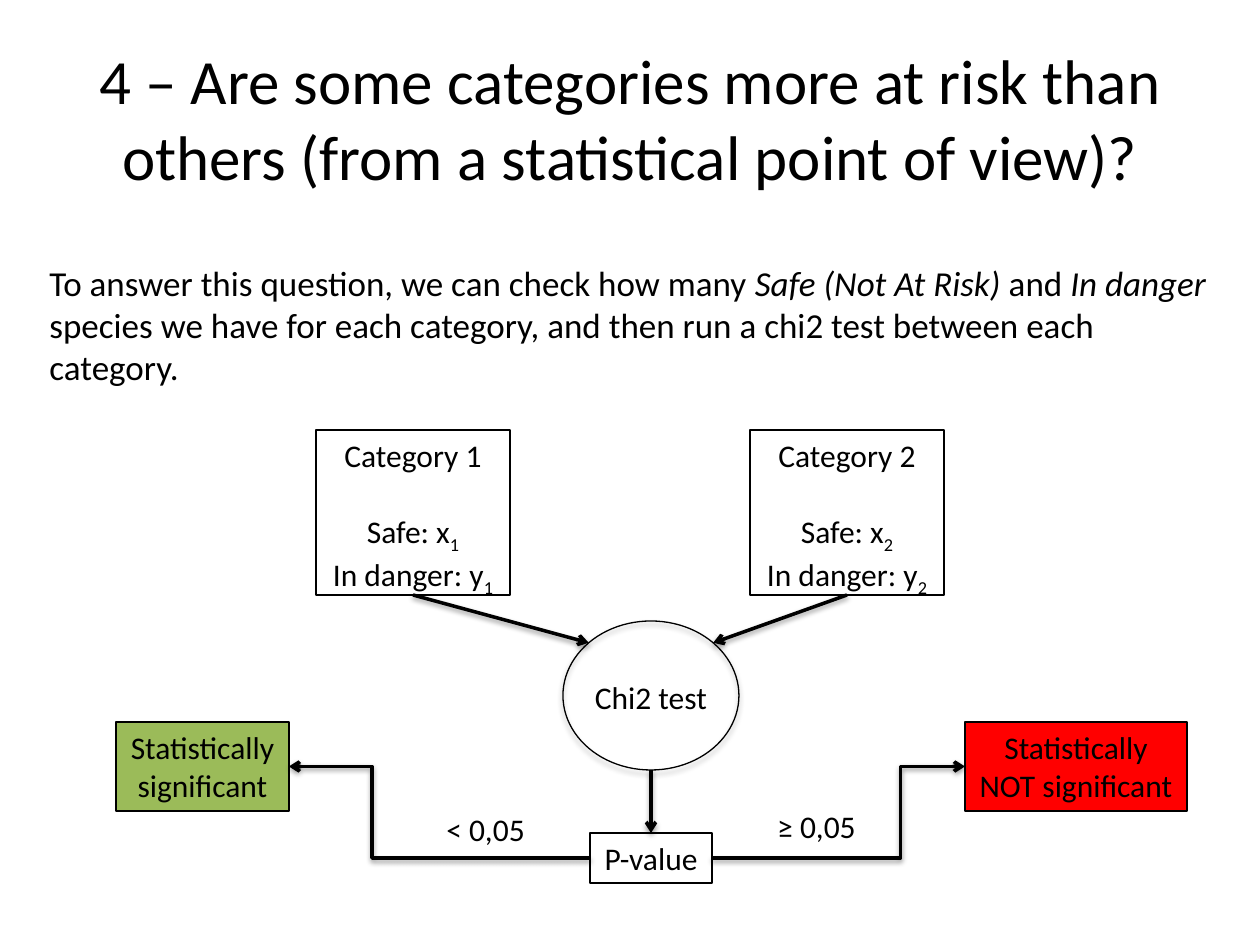
import math

from lxml import etree
from pptx import Presentation
from pptx import util as u
from pptx.dml.color import RGBColor
from pptx.enum import shapes, text
from pptx.oxml.ns import qn

COLOURS = {"ink": "000000", "significant": "9BBB59", "not_significant": "FF0000"}
FONT = "Calibri"
ARROW_SHADOW = {"opacity": 38, "distance": 1.6}
CIRCLE_SHADOW = {"opacity": 35, "distance": 1.8}


def px(length):
    return u.Emu(round(length * 914400 / 126))


def colour(name):
    return RGBColor.from_string(COLOURS[name])


def drop_shadow(part, opacity, distance):
    """Cast a soft shadow straight down."""
    effects = etree.SubElement(part._element.spPr, qn("a:effectLst"))
    shadow = etree.SubElement(
        effects, qn("a:outerShdw"), blurRad=str(u.Pt(3.1)),
        dist=str(u.Pt(distance)), dir="5400000", rotWithShape="0")
    tint = etree.SubElement(shadow, qn("a:srgbClr"), val=COLOURS["ink"])
    etree.SubElement(tint, qn("a:alpha"), val=str(opacity * 1000))


def style_runs(paragraph, size):
    for run in paragraph.runs:
        run.font.name = FONT
        run.font.size = u.Pt(size)
        run.font.color.rgb = colour("ink")


def write(part, lines, size=18, align=text.PP_ALIGN.CENTER,
          anchor=text.MSO_ANCHOR.TOP, wrap=False):
    frame = part.text_frame
    frame.text = "\n".join(lines)
    frame.word_wrap = wrap
    frame.vertical_anchor = anchor
    for paragraph in frame.paragraphs:
        paragraph.alignment = align
        style_runs(paragraph, size)
    return frame


def add_label(slide, box, lines, **style):
    label = slide.shapes.add_textbox(*map(px, box))
    write(label, lines, **style)
    return label


def add_outline(slide, kind, box, fill=None):
    part = slide.shapes.add_shape(kind, *map(px, box))
    part.line.color.rgb = colour("ink")
    part.line.width = u.Pt(0.75)
    if fill:
        part.fill.solid()
        part.fill.fore_color.rgb = colour(fill)
    else:
        part.fill.background()
    return part


def add_box(slide, box, lines, fill=None):
    part = add_outline(slide, shapes.MSO_SHAPE.RECTANGLE, box, fill)
    part.shadow.inherit = False
    write(part, lines)
    return part


def add_arrow(slide, start, end, source=None, target=None, bend=None):
    """source and target are (box, side) pairs; bend is the elbow's share of the width."""
    kind = shapes.MSO_CONNECTOR.STRAIGHT if bend is None else shapes.MSO_CONNECTOR.ELBOW
    arrow = slide.shapes.add_connector(kind, *map(px, (*start, *end)))
    if source:
        arrow.begin_connect(*source)
    if target:
        arrow.end_connect(*target)
    arrow.line.color.rgb = colour("ink")
    arrow.line.width = u.Pt(2)
    etree.SubElement(arrow.line._get_or_add_ln(), qn("a:tailEnd"), type="arrow")
    if bend is not None:
        guides = arrow._element.spPr.find(qn("a:prstGeom")).get_or_add_avLst()
        etree.SubElement(guides, qn("a:gd"), name="adj1", fmla=f"val {round(bend * 100000)}")
    drop_shadow(arrow, **ARROW_SHADOW)


def add_heading(slide, box):
    add_label(slide, box,
              ["4 – Are some categories more at risk than others "
               "(from a statistical point of view)?"],
              size=36, anchor=text.MSO_ANCHOR.MIDDLE, wrap=True)


def add_method(slide, box):
    method = add_label(slide, box, [""], align=text.PP_ALIGN.LEFT, wrap=True)
    paragraph = method.text_frame.paragraphs[0]
    for words, italic in (
            ("To answer this question, we can check how many ", False),
            ("Safe (Not At Risk)", True),
            (" and ", False),
            ("In danger", True),
            (" species we have for each category, and then run a chi2 test "
             "between each category.", False)):
        run = paragraph.add_run()
        run.text = words
        run.font.italic = italic
    style_runs(paragraph, 20)


def add_category(slide, box, number):
    category = add_box(slide, box, [f"Category {number}", "Safe: x", "In danger: y"])
    counts = category.text_frame.paragraphs[1:]
    counts[0].space_before = u.Pt(22)
    for count in counts:
        index = count.add_run()
        index.text = str(number)
        style_runs(count, 18)
        index.font._element.set("baseline", "-25000")
    return category


def add_test_flow(slide, box):
    """Two categories feed the chi2 test, whose p-value leads to a verdict."""
    left, top, width, _ = box
    centre = left + width // 2

    # Categories and test circle
    categories = [add_category(slide, (x, top, 194, 165), number)
                  for number, x in enumerate((left + 200, left + 634), 1)]
    circle_top, circle_w, circle_h = top + 191, 176, 149
    add_label(slide, (centre - 70, top + 242, 140, 50), ["Chi2 test"])
    circle = add_outline(slide, shapes.MSO_SHAPE.OVAL,
                         (centre - circle_w // 2, circle_top, circle_w, circle_h))
    drop_shadow(circle, **CIRCLE_SHADOW)
    diagonal = math.sqrt(0.5)
    for category, side in zip(categories, (-1, 1)):
        rim = (centre + side * circle_w / 2 * diagonal,
               circle_top + circle_h / 2 * (1 - diagonal))
        add_arrow(slide, (centre + side * 217, top + 165), rim, source=(category, 2))

    # P-value
    p_top = top + 403
    p_value = add_box(slide, (centre - 61, p_top, 122, 50), ["P-value"])
    add_arrow(slide, (centre, circle_top + circle_h), (centre, p_top), target=(p_value, 0))

    # Verdicts with their thresholds
    verdict_top, verdict_h = top + 292, 89
    significant = add_box(slide, (left, verdict_top, 173, verdict_h),
                          ["Statistically", "significant"], "significant")
    not_significant = add_box(slide, (left + width - 222, verdict_top, 222, verdict_h),
                              ["Statistically", "NOT significant"], "not_significant")
    p_middle, verdict_middle = p_top + 25, verdict_top + verdict_h / 2
    add_arrow(slide, (centre + 61, p_middle), (left + width - 222, verdict_middle),
              (p_value, 3), (not_significant, 1), bend=0.745)
    add_arrow(slide, (centre - 61, p_middle), (left + 173, verdict_middle),
              (p_value, 1), (significant, 3), bend=0.724)
    add_label(slide, (centre + 113, top + 371, 105, 50), ["≥ 0,05"])
    add_label(slide, (centre - 218, top + 374, 105, 50), ["< 0,05"])


def main():
    deck = Presentation()
    deck.slide_width, deck.slide_height = px(1260), px(945)
    slide = deck.slides.add_slide(deck.slide_layouts[6])
    add_heading(slide, (63, 38, 1134, 158))
    add_method(slide, (37, 255, 1184, 140))
    add_test_flow(slide, (116, 430, 1071, 453))
    deck.save("out.pptx")


if __name__ == "__main__":
    main()
